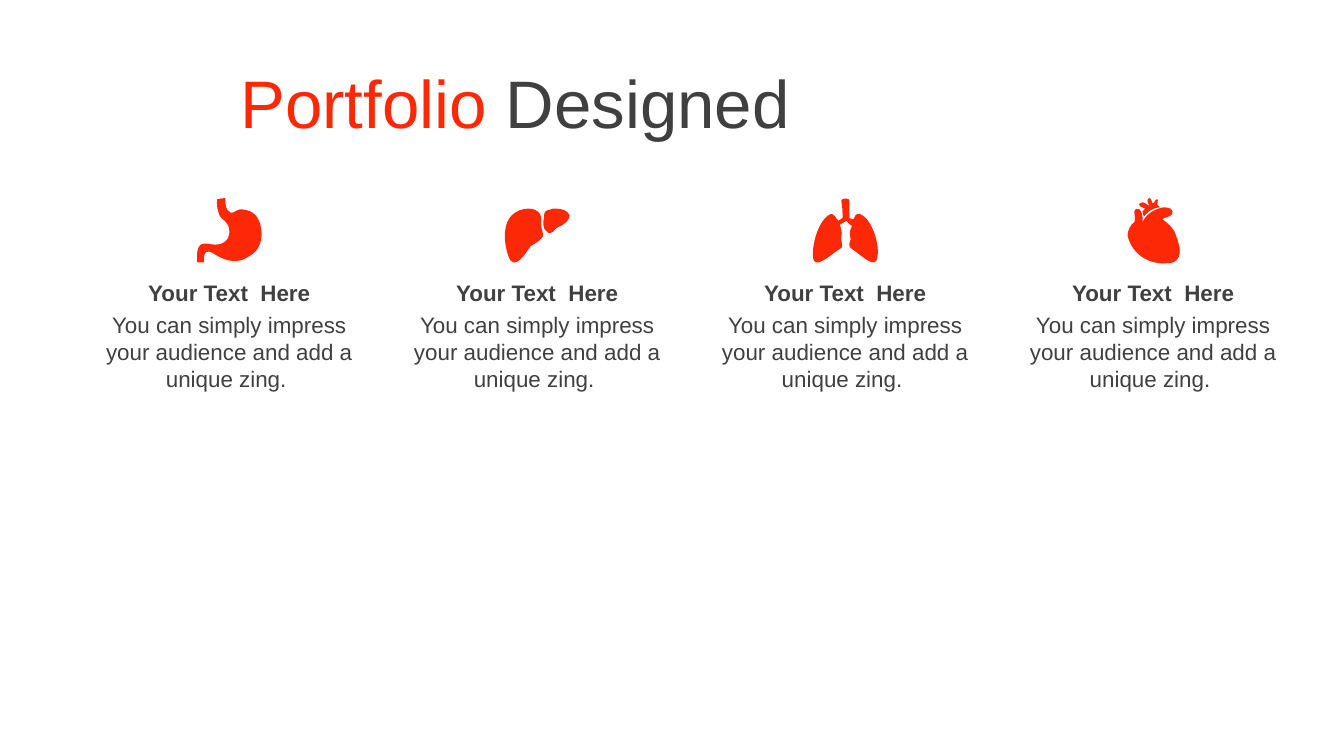
from dataclasses import dataclass

from lxml import etree
from pptx import Presentation
from pptx.dml.color import RGBColor
from pptx.enum import text
from pptx.oxml.ns import qn
from pptx.util import Cm, Pt


@dataclass(frozen=True)
class Theme:
    accent: str = "FD2906"
    dark: str = "404040"
    font: str = "Arial"
    title_size: int = 36
    body_size: int = 12


THEME = Theme()

# Column grid
LEFT, PITCH, WIDTH = Cm(1.63), Cm(5.82), Cm(5.41)
HEADING_TOP, BODY_TOP = Cm(5.16), Cm(5.76)
ICON_BOTTOM = Cm(4.96)

HEADING = "Your Text  Here"
BODY = "You can simply impress your audience and add a unique zing. "

# Icon outlines in hundredths of an inch: (width, height, M, L and C steps)
ICON_UNIT = Cm(2.54) / 100
STEP_TAGS = {"M": "a:moveTo", "L": "a:lnTo", "C": "a:cubicBezTo"}
STOMACH = (48, 48, """
    M 15 1 L 21 0 C 21 5 21 9 25 11 C 28 12 29 7 36 9 C 43 10 48 16 48 28
    C 47 39 42 42 34 46 C 21 50 12 40 9 40 C 5 39 5 44 5 48 L 0 48
    C 0 42 -1 33 7 34 C 13 35 19 36 23 30 C 25 25 25 20 18 15 C 17 14 14 8 15 1""")
LIVER = (48, 40, """
    M 38 0 C 43 0 47 2 48 5 C 48 9 44 12 39 14 C 37 15 34 21 31 17
    C 28 15 28 10 29 7 C 29 4 29 1 33 1 C 34 0 36 0 38 0
    M 17 0 C 21 0 24 1 26 4 C 28 7 26 10 27 13 C 27 16 29 19 28 21
    C 25 25 22 26 19 28 C 16 32 11 41 6 40 C 3 39 2 34 1 30
    C -1 22 -1 11 5 5 C 8 2 13 0 17 0""")
LUNGS = (48, 48, """
    M 21 2 C 21 0 28 0 27 2 L 27 15 L 30 16 C 31 14 32 11 35 12
    C 45 16 51 39 47 47 C 44 51 35 42 29 38 C 26 36 27 34 28 31
    C 28 28 26 27 29 21 C 27 19 26 19 25 17 C 22 18 22 19 20 20
    C 22 24 21 29 21 30 C 21 33 23 37 20 38 C 16 40 7 49 2 48
    C -3 47 1 18 13 12 C 16 11 17 16 19 17 L 22 15 C 22 11 22 6 21 2""")
HEART = (38, 48, """
    M 28 7 C 30 7 31 8 32 8 C 38 14 24 15 26 16 C 30 19 35 23 36 28
    C 38 34 42 44 34 48 C 14 52 2 39 0 28 C 0 24 2 20 5 18
    C 6 16 5 13 5 10 C 5 7 12 6 11 18 C 14 11 23 7 28 7
    M 16 0 C 18 0 18 5 19 4 C 20 4 20 1 22 1 C 23 1 22 4 22 5 L 24 7
    C 16 8 14 12 12 14 L 11 10 L 13 8 C 11 7 7 6 9 4
    C 12 2 14 5 16 6 C 16 4 13 2 16 0""")


def add_text(p, content, size=THEME.body_size, color=THEME.dark, bold=False,
             align=text.PP_ALIGN.CENTER):
    """Add one formatted run to a paragraph."""
    p.alignment = align
    r = p.add_run()
    r.text = content
    r.font.name, r.font.size, r.font.bold = THEME.font, Pt(size), bold
    r.font.color.rgb = RGBColor.from_string(color)


def add_title(s):
    sp = s.shapes.title
    sp.left, sp.top, sp.width, sp.height = Cm(4.29), Cm(1.12), Cm(13.89), Cm(1.6)
    tf = sp.text_frame
    tf.auto_size = text.MSO_AUTO_SIZE.NONE
    tf.vertical_anchor = text.MSO_ANCHOR.MIDDLE
    for content, color in (("Portfolio ", THEME.accent), ("Designed", THEME.dark)):
        add_text(tf.paragraphs[0], content, size=THEME.title_size, color=color,
                 align=text.PP_ALIGN.LEFT)


def add_label(s, left, top, height, content, **fmt):
    tf = s.shapes.add_textbox(left, top, WIDTH, height).text_frame
    tf.word_wrap = True
    tf.auto_size = text.MSO_AUTO_SIZE.SHAPE_TO_FIT_TEXT
    add_text(tf.paragraphs[0], content, **fmt)


def draw_curves(sp, width, height, steps):
    """Give a freeform an outline with true Bezier curves."""
    outline = next(sp._element.iter(qn("a:path")))
    for child in list(outline):
        outline.remove(child)
    outline.set("w", str(width))
    outline.set("h", str(height))
    for contour in steps.split("M")[1:]:
        marked = ("M" + contour).replace("L", "|L").replace("C", "|C")
        for step in marked.split("|"):
            kind, *values = step.split()
            node = etree.SubElement(outline, qn(STEP_TAGS[kind]))
            for x, y in zip(values[::2], values[1::2]):
                etree.SubElement(node, qn("a:pt"), x=x, y=y)
        etree.SubElement(outline, qn("a:close"))


def add_icon(s, center, icon):
    width, height, steps = icon
    builder = s.shapes.build_freeform(scale=ICON_UNIT)
    builder.add_line_segments([(width, 0), (width, height), (0, height)])
    sp = builder.convert_to_shape(round(center - width * ICON_UNIT / 2),
                                  round(ICON_BOTTOM - height * ICON_UNIT))
    draw_curves(sp, width, height, steps)
    sp.shadow.inherit = False
    sp.fill.solid()
    sp.fill.fore_color.rgb = RGBColor.from_string(THEME.accent)
    sp.line.fill.background()


def main():
    prs = Presentation()
    prs.slide_width, prs.slide_height = Cm(25.4), Cm(14.29)
    s = prs.slides.add_slide(prs.slide_layouts[5])
    add_title(s)

    # One column per organ
    for i, icon in enumerate((STOMACH, LIVER, LUNGS, HEART)):
        left = LEFT + i * PITCH
        add_label(s, left, BODY_TOP, Cm(1.8), BODY)
        add_label(s, left, HEADING_TOP, Cm(0.76), HEADING, bold=True)
        add_icon(s, left + WIDTH / 2, icon)

    prs.save("out.pptx")


if __name__ == "__main__":
    main()
